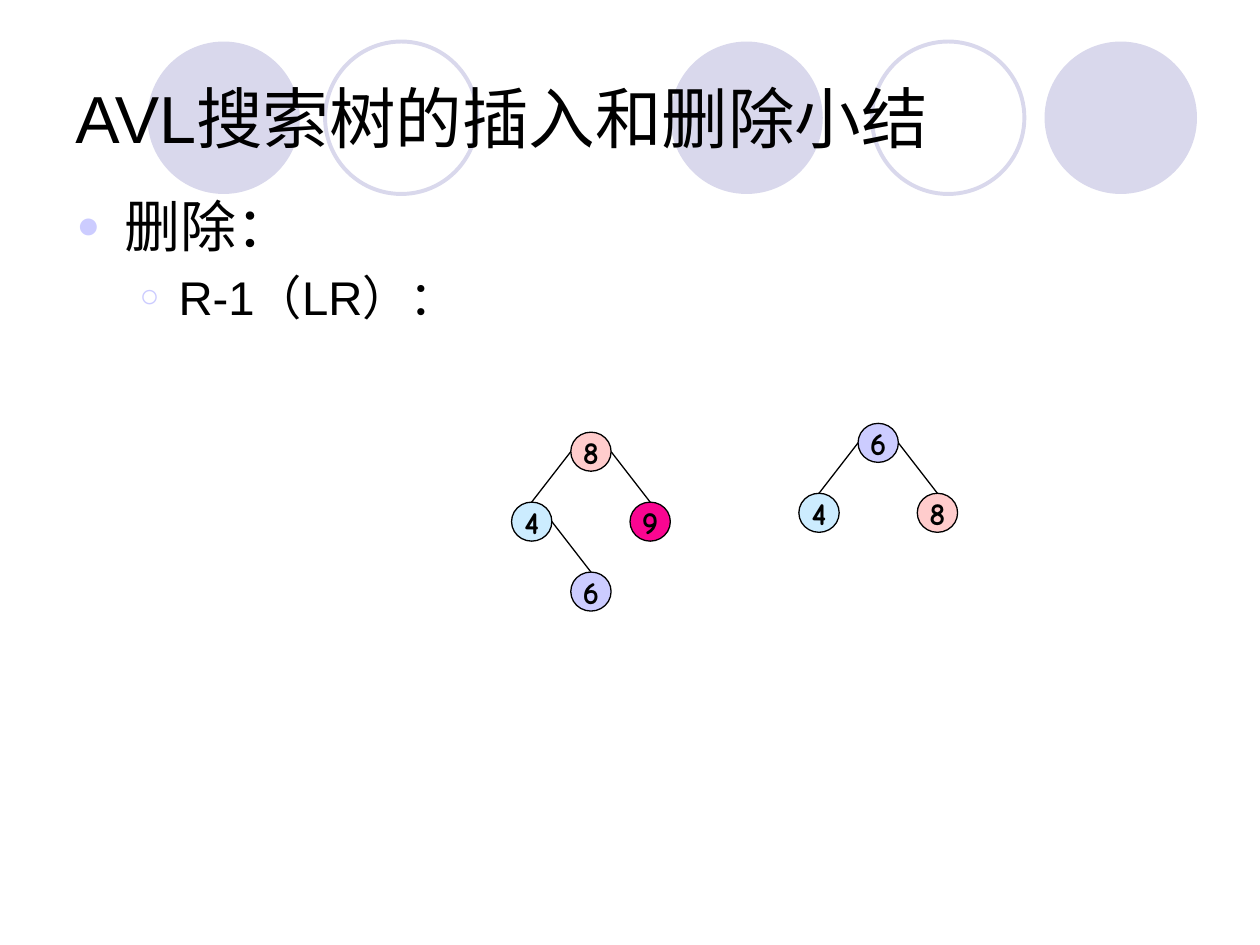
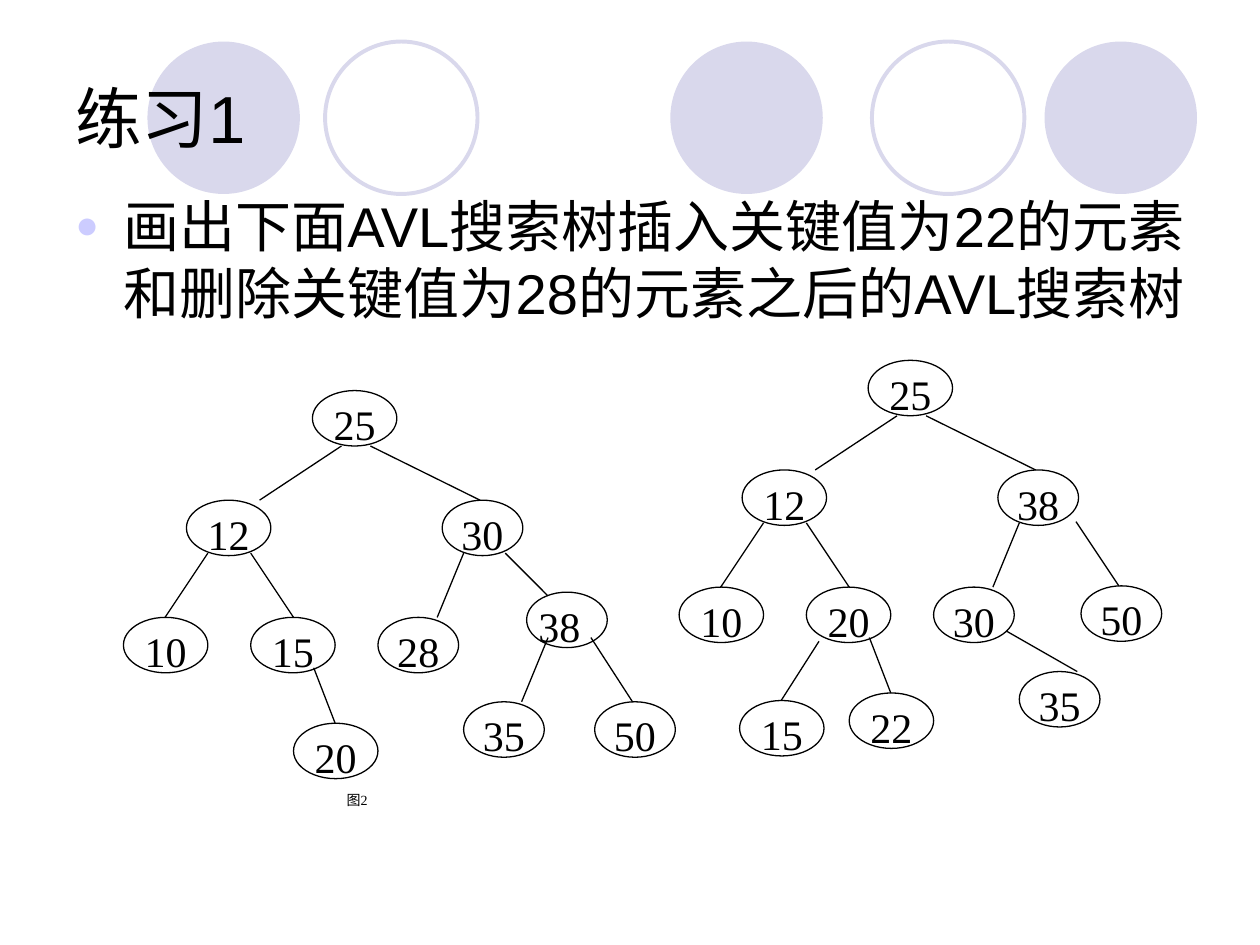
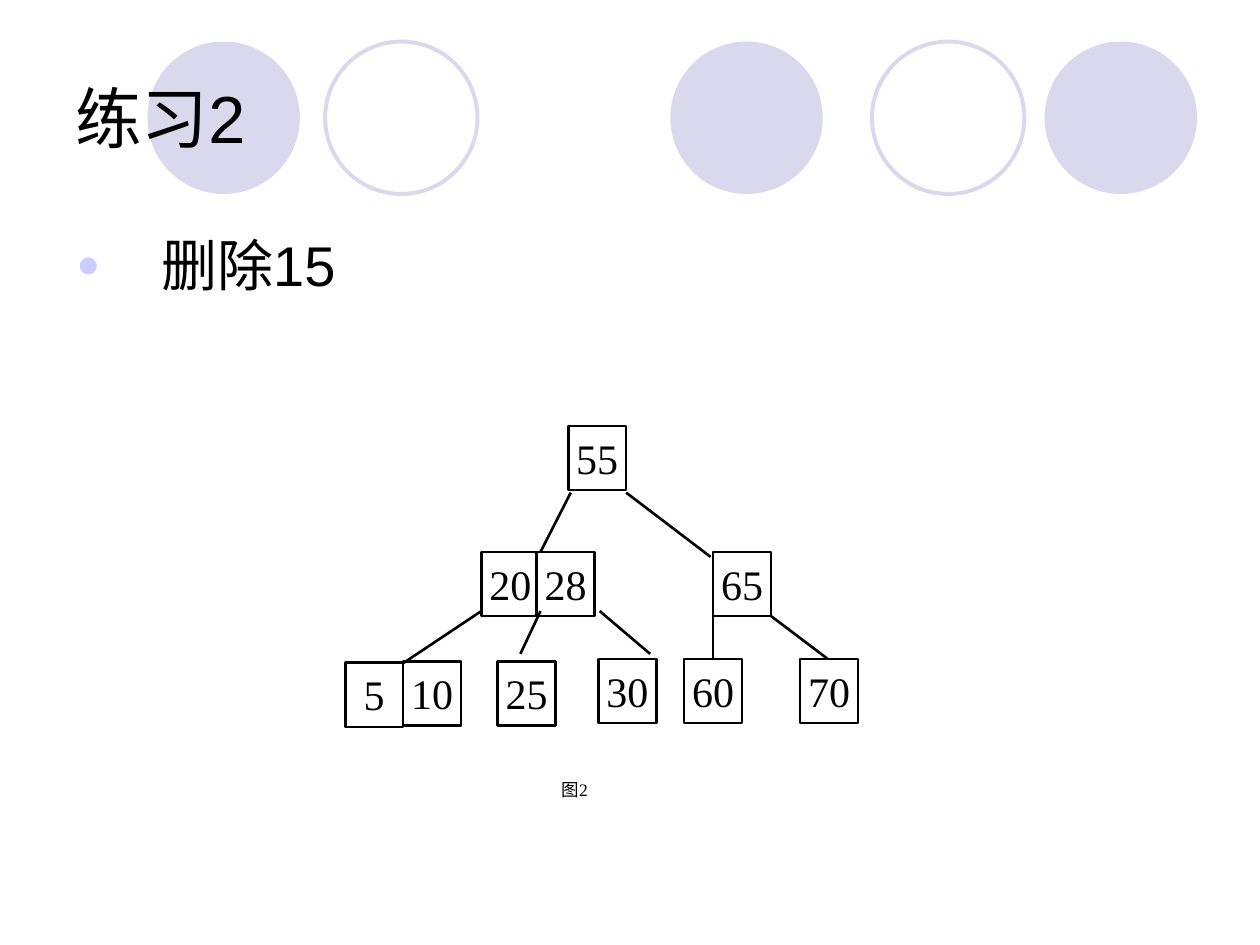
from lxml.etree import SubElement
from pptx import Presentation
from pptx.dml.color import RGBColor
from pptx.enum.shapes import MSO_CONNECTOR, MSO_SHAPE
from pptx.enum.text import MSO_ANCHOR, PP_ALIGN
from pptx.oxml.ns import qn
from pptx.util import Inches, Pt

HUES = {
    "ink": "000000", "paper": "FFFFFF", "ring": "D9D8EC", "dot": "CCCCFF",
    "sky": "CCECFF", "rose": "FFCCCC", "pink": "FA0691", "lilac": "CCCCFF",
}
SANS, ROUND, SERIF = "Arial", "Comic Neue", "Times New Roman"


def hue(name):
    """Look up a named colour."""
    return RGBColor.from_string(HUES[name])


def write(para, text, size=24, font=SERIF, bold=False, align=PP_ALIGN.CENTER,
          mark=None, dent=0, hang=0):
    """Put formatted text, with a bullet if mark is given, in a paragraph."""
    run = para.add_run()
    run.text = text
    run.font.size, run.font.name, run.font.bold = Pt(size), font, bold
    run.font.color.rgb = hue("ink")
    para.alignment = align
    if mark:
        para.space_before = Pt(size * 0.2)
        props = para._p.get_or_add_pPr()
        props.set("marL", str(Inches(dent)))
        props.set("indent", str(Inches(-hang)))
        tint = SubElement(props, qn("a:buClr"))
        SubElement(tint, qn("a:srgbClr"), val=HUES["dot"])
        SubElement(props, qn("a:buSzPct"), val="70000")
        SubElement(props, qn("a:buFont"), typeface=SANS)
        SubElement(props, qn("a:buChar"), char=mark)


def setup(frame, anchor=MSO_ANCHOR.TOP, wrap=True, pads=(0.1, 0.05)):
    """Set the anchor, wrap and side and end margins of a text frame."""
    frame.word_wrap, frame.vertical_anchor = wrap, anchor
    frame.margin_left = frame.margin_right = Inches(pads[0])
    frame.margin_top = frame.margin_bottom = Inches(pads[1])
    return frame


def shape(home, kind, box, fill=None, line=None, width=0.75):
    """Add a plain preset shape with the given fill and line."""
    item = home.add_shape(kind, *map(Inches, box))
    item.shadow.inherit = False
    if fill:
        item.fill.solid()
        item.fill.fore_color.rgb = hue(fill)
    else:
        item.fill.background()
    if line:
        item.line.color.rgb = hue(line)
        item.line.width = Pt(width)
    else:
        item.line.fill.background()
    return item


def edge(home, x, y, ends, width=0.75):
    """Join two points given from the tree's corner."""
    x1, y1, x2, y2 = ends
    link = home.add_connector(MSO_CONNECTOR.STRAIGHT, Inches(x + x1),
                              Inches(y + y1), Inches(x + x2), Inches(y + y2))
    link.line.color.rgb = hue("ink")
    link.line.width = Pt(width)
    SubElement(link._element.spPr, qn("a:effectLst"))


def band(slide, x=1.17, y=0.33, size=1.21):
    """Draw the row of discs and rings behind the title."""
    home = slide.shapes.add_group_shape().shapes
    for step in (4.15, 7.12, 0):
        shape(home, MSO_SHAPE.OVAL, (x + step, y, size, size), "ring")
    for step in (5.75, 1.41):
        shape(home, MSO_SHAPE.OVAL, (x + step, y, size, size), None, "ring", 2.25)


def page(deck, title, items, box):
    """Start a slide with its band, title and bullet list."""
    slide = deck.slides.add_slide(deck.slide_layouts[6])
    band(slide)
    head = slide.shapes.add_textbox(*map(Inches, (0.5, 0.3, 9, 1.25)))
    write(setup(head.text_frame, MSO_ANCHOR.MIDDLE).paragraphs[0], title,
          size=38, font=SANS, align=PP_ALIGN.LEFT)
    body = setup(slide.shapes.add_textbox(*map(Inches, box)).text_frame)
    for rank, (text, size, mark, dent, hang) in enumerate(items):
        para = body.add_paragraph() if rank else body.paragraphs[0]
        write(para, text, size=size, font=SANS, align=PP_ALIGN.LEFT,
              mark=mark, dent=dent, hang=hang)
    return slide


def label(slide, box, size, align, pads):
    """Add the figure label below a tree."""
    item = shape(slide.shapes, MSO_SHAPE.RECTANGLE, box, "paper")
    write(setup(item.text_frame, pads=pads).paragraphs[0], "图2",
          size=size, align=align)


def balls(slide, x, y, nodes, links):
    """Draw coloured nodes on a grid whose root is at x, y."""
    wide, high, across, down = 0.32, 0.31, 0.47, 0.555
    for text, fill, col, row in nodes:
        box = (x + col * across, y + row * down, wide, high)
        item = shape(slide.shapes, MSO_SHAPE.OVAL, box, fill, "ink")
        frame = setup(item.text_frame, MSO_ANCHOR.MIDDLE, wrap=False)
        write(frame.paragraphs[0], text, size=18, font=ROUND, bold=True)
    for col, row, side in links:
        left, top = col * across + wide / 2, row * down + high / 2
        edge(slide.shapes, x, y, (left + side * wide / 2, top,
                                  left + side * across, (row + 1) * down))


# Places and links found in both oval trees, measured from the root's corner.
SPOTS = [(0, 0, 0.67), (1.03, 0.87, 0.64), (-1, 0.87, 0.67), (-1.5, 1.8, 0.67),
         (-0.49, 1.8, 0.67), (0.52, 1.8, 0.64), (-0.15, 2.64, 0.67),
         (1.2, 2.47, 0.64)]
JOINS = [(0.23, 0.44, -0.42, 0.87), (0.46, 0.44, 1.33, 0.87),
         (-0.83, 1.29, -1.17, 1.8), (-0.49, 1.29, -0.15, 1.8),
         (1.2, 1.29, 0.99, 1.8), (0.01, 2.2, 0.18, 2.64)]


def ovals(slide, x, y, keys, more, links):
    """Draw a tree of ovals: shared spots, then its own nodes and links."""
    home = slide.shapes.add_group_shape().shapes
    nodes = [(key, *spot, PP_ALIGN.CENTER) for key, spot in zip(keys, SPOTS)]
    for text, left, top, wide, align in nodes + more:
        item = shape(home, MSO_SHAPE.OVAL, (x + left, y + top, wide, 0.44),
                     "paper", "ink")
        write(setup(item.text_frame, pads=(0, 0)).paragraphs[0], text, align=align)
    for ends in JOINS + links:
        edge(home, x, y, ends)


def cells(slide, x, y, nodes, links):
    """Draw a tree of square cells from its top left corner."""
    for text, left, top in nodes:
        item = shape(slide.shapes, MSO_SHAPE.RECTANGLE,
                     (x + left, y + top, 0.46, 0.51), "paper", "ink", 1.5)
        write(setup(item.text_frame, pads=(0, 0.05)).paragraphs[0], text)
    for ends in links:
        edge(slide.shapes, x, y, ends, 1.5)


def recap(deck):
    """Build the slide on deletion, before and after."""
    slide = page(deck, "AVL搜索树的插入和删除小结",
                 [("删除：", 32, "●", 0.38, 0.38),
                  ("R-1（LR）：", 27, "○", 0.81, 0.31)], (0.51, 1.47, 9, 5.24))
    balls(slide, 4.53, 3.43,
          [("4", "sky", -1, 1), ("8", "rose", 0, 0), ("9", "pink", 1, 1),
           ("6", "lilac", 0, 2)], [(0, 0, -1), (0, 0, 1), (-1, 1, 1)])
    balls(slide, 6.81, 3.36,
          [("4", "sky", -1, 1), ("8", "rose", 1, 1), ("6", "lilac", 0, 0)],
          [(0, 0, -1), (0, 0, 1)])


def task_one(deck):
    """Build the first exercise with its two oval trees."""
    slide = page(deck, "练习1",
                 [("画出下面AVL搜索树插入关键值为22的元素和删除关键值为28的元素之后的AVL搜索树",
                   32, "●", 0.38, 0.38)], (0.5, 1.47, 9, 5.24))
    ovals(slide, 2.48, 3.1, ["25", "30", "12", "10", "15", "28", "20", "35"],
          [("38", 1.7, 1.6, 0.64, PP_ALIGN.LEFT),
           ("50", 2.24, 2.47, 0.64, PP_ALIGN.CENTER)],
          [(1.53, 1.29, 1.87, 1.63), (2.21, 1.96, 2.54, 2.47),
           (1.87, 1.96, 1.66, 2.47)])
    label(slide, (2.33, 6.24, 1.01, 0.51), 8, PP_ALIGN.CENTER, (0.08, 0.04))
    ovals(slide, 6.89, 2.86, ["25", "38", "12", "10", "20", "30", "22", "35"],
          [("50", 1.69, 1.79, 0.64, PP_ALIGN.CENTER),
           ("15", -1.02, 2.7, 0.67, PP_ALIGN.CENTER)],
          [(1.65, 1.28, 1.99, 1.79), (1.1, 2.15, 1.66, 2.47),
           (-0.39, 2.23, -0.69, 2.7)])


def task_two(deck):
    """Build the second exercise with its tree of cells."""
    slide = page(deck, "练习2", [("删除15", 32, "●", 0.67, 0.67)],
                 (0.51, 1.78, 9, 4.95))
    cells(slide, 2.74, 3.38,
          [("20", 1.08, 1), ("10", 0.46, 1.87), ("5", 0, 1.88),
           ("65", 2.92, 1), ("28", 1.52, 1), ("70", 3.61, 1.85),
           ("60", 2.69, 1.85), ("30", 2.01, 1.85), ("25", 1.21, 1.87),
           ("55", 1.77, 0)],
          [(2.23, 0.53, 2.9, 1.04), (1.79, 0.53, 1.55, 1),
           (1.08, 1.47, 0.45, 1.89), (1.55, 1.47, 1.39, 1.81),
           (2.02, 1.47, 2.42, 1.81), (2.92, 1.51, 2.92, 1.85),
           (3.38, 1.51, 3.83, 1.85)])
    label(slide, (4.36, 6.13, 0.78, 0.51), 10, PP_ALIGN.LEFT, (0.1, 0.05))


deck = Presentation()
deck.slide_width, deck.slide_height = Inches(10), Inches(7.5)
recap(deck)
task_one(deck)
task_two(deck)
deck.save("out.pptx")
